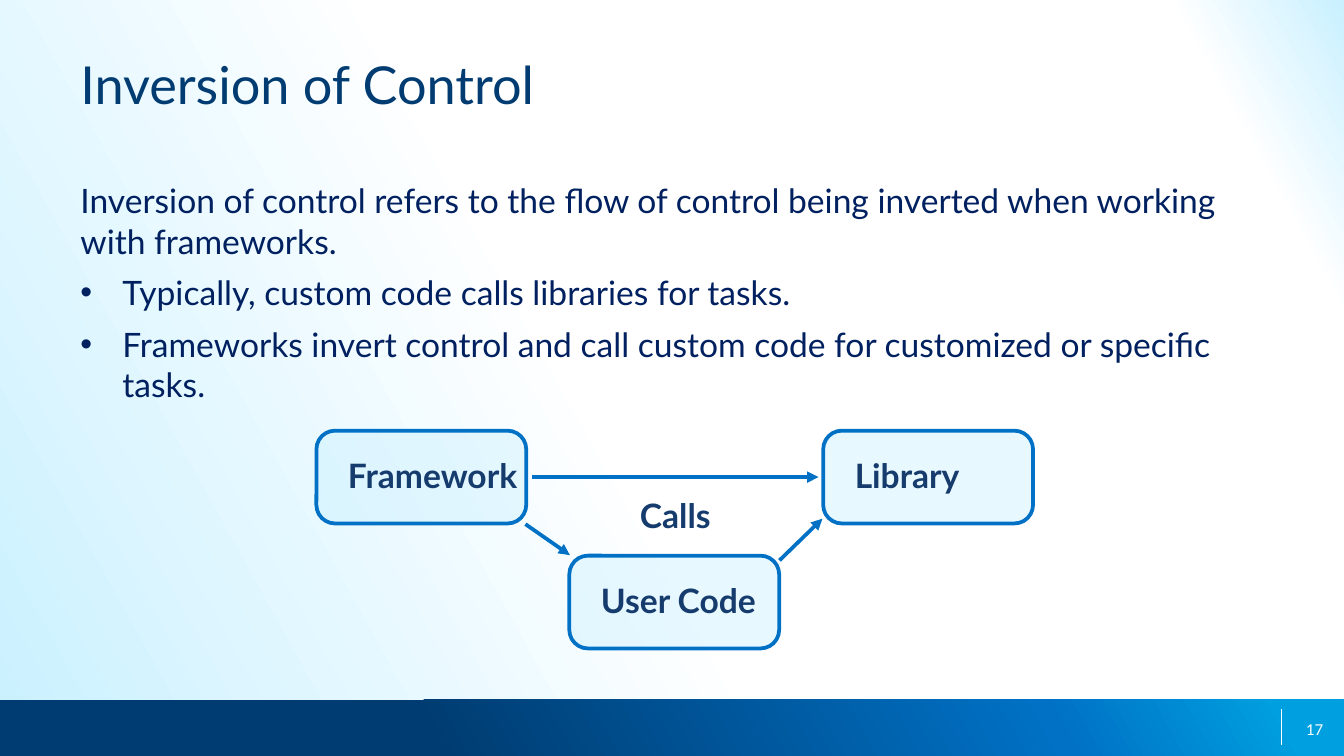
from typing import NamedTuple

from lxml.etree import SubElement as Sub
from pptx import Presentation
from pptx.dml.color import RGBColor
from pptx.enum.shapes import MSO_CONNECTOR as Conn, MSO_SHAPE as Kind
from pptx.enum.text import MSO_ANCHOR as Anchor, PP_ALIGN as Align
from pptx.oxml.ns import qn
from pptx.util import Pt

FONT = "Lato"
NAVY, BLUE, PALE, WHITE = "003C71", "0071C5", "C9F0FF", "FFFFFF"
INK, LABEL = "002060", "163B6D"
BOX_W, BOX_H = 112.4, 49.7


class Box(NamedTuple):
    text: str
    left: float
    top: float


class Line(NamedTuple):
    x1: float
    y1: float
    x2: float
    y2: float


BOXES = [
    Box("Framework", 169.5, 230.75),
    Box("User Code", 305, 297.7),
    Box("Library", 441, 230.75),
]
ARROWS = [
    Line(281.5, 280.8, 305.3, 297.4),
    Line(417.6, 300.2, 440.6, 277.9),
    Line(285.1, 255.6, 438.5, 255.6),
]
INTRO = ("Inversion of control refers to the flow of control being "
         "inverted when working with frameworks.")
BULLETS = [
    "Typically, custom code calls libraries for tasks.",
    "Frameworks invert control and call custom code for customized "
    "or specific tasks.",
]


def color(code: str) -> RGBColor:
    return RGBColor.from_string(code)


def blend(owner, fill, stops: list[tuple[int, str]]) -> None:
    """Give a slide or shape a gradient rising to the right."""
    fill.gradient()
    fill.gradient_angle = 29
    stop_list = owner.element.xpath(".//a:gsLst")[0]
    for old in list(stop_list):
        stop_list.remove(old)
    for pos, code in stops:
        stop = Sub(stop_list, qn("a:gs"), pos=str(pos * 1000))
        Sub(stop, qn("a:srgbClr"), val=code)


def style(para, size: float, code: str, bold: bool = False) -> None:
    font = para.font
    font.name, font.size, font.bold = FONT, Pt(size), bold
    font.color.rgb = color(code)


def set_inset(frame, left: float, rest: float = 0) -> None:
    frame.margin_left = Pt(left)
    frame.margin_top = frame.margin_right = frame.margin_bottom = Pt(rest)


def add_text(slide, text: str, left: float, top: float, width: float,
             height: float, size: float, code: str):
    box = slide.shapes.add_textbox(Pt(left), Pt(top), Pt(width), Pt(height))
    frame = box.text_frame
    frame.word_wrap = True
    frame.text = text
    style(frame.paragraphs[0], size, code)
    return frame


def add_bullet(frame, text: str) -> None:
    para = frame.add_paragraph()
    para.text = text
    props = para._p.get_or_add_pPr()
    props.set("marL", str(Pt(22.5)))
    props.set("indent", str(-Pt(22.5)))
    Sub(props, qn("a:buFont"), typeface="Arial")
    Sub(props, qn("a:buChar"), char="•")
    para.space_before = Pt(6)
    style(para, 18, INK)


def add_box(slide, box: Box) -> None:
    shape = slide.shapes.add_shape(
        Kind.ROUNDED_RECTANGLE, Pt(box.left), Pt(box.top), Pt(BOX_W), Pt(BOX_H))
    shape.shadow.inherit = False
    shape.adjustments[0] = 0.2
    shape.fill.solid()
    shape.fill.fore_color.rgb = color(PALE)
    tint = shape.element.xpath("./p:spPr/a:solidFill/a:srgbClr")[0]
    Sub(tint, qn("a:alpha"), val="43000")
    shape.line.color.rgb = color(BLUE)
    shape.line.width = Pt(2)
    frame = shape.text_frame
    frame.word_wrap = False
    frame.vertical_anchor = Anchor.MIDDLE
    set_inset(frame, 14)
    frame.margin_bottom = Pt(2)
    frame.text = box.text
    para = frame.paragraphs[0]
    para.alignment = Align.LEFT
    style(para, 18, LABEL, bold=True)


def add_line(slide, line: Line, code: str, width: float,
             arrow: bool = False) -> None:
    conn = slide.shapes.add_connector(Conn.STRAIGHT, *map(Pt, line))
    conn.line.color.rgb = color(code)
    conn.line.width = Pt(width)
    if arrow:
        Sub(conn.line._get_or_add_ln(), qn("a:tailEnd"), type="triangle")
    Sub(conn.element.spPr, qn("a:effectLst"))


def add_footer(slide) -> None:
    bar = slide.shapes.add_shape(
        Kind.RECTANGLE, Pt(0), Pt(375), Pt(720), Pt(30))
    bar.shadow.inherit = False
    bar.line.fill.background()
    blend(bar, bar.fill, [(32, NAVY), (78, BLUE), (95, "009FDF")])
    add_line(slide, Line(686.5, 380, 686.5, 399), WHITE, 0.75)
    frame = add_text(slide, "17", 698.4, 386, 10.6, 10, 8, WHITE)
    frame.word_wrap = False
    frame.vertical_anchor = Anchor.MIDDLE
    set_inset(frame, 0)
    frame.paragraphs[0].alignment = Align.RIGHT


def main() -> None:
    deck = Presentation()
    deck.slide_width, deck.slide_height = Pt(720), Pt(405)
    slide = deck.slides.add_slide(deck.slide_layouts[6])
    blend(slide, slide.background.fill,
          [(0, PALE), (45, WHITE), (90, WHITE), (100, PALE)])
    add_footer(slide)

    add_text(slide, "Inversion of Control", 36, 24.5, 648, 68.4, 28, NAVY)
    body = add_text(slide, INTRO, 36, 93, 641, 106.5, 18, INK)
    for text in BULLETS:
        add_bullet(body, text)

    for box in BOXES:
        add_box(slide, box)
    calls = add_text(slide, "Calls", 328.3, 265, 67, 23.8, 18, LABEL)
    calls.word_wrap = False
    set_inset(calls, 0)
    calls.paragraphs[0].alignment = Align.CENTER
    calls.paragraphs[0].font.bold = True
    for line in ARROWS:
        add_line(slide, line, BLUE, 2, arrow=True)

    deck.save("out.pptx")


if __name__ == "__main__":
    main()
